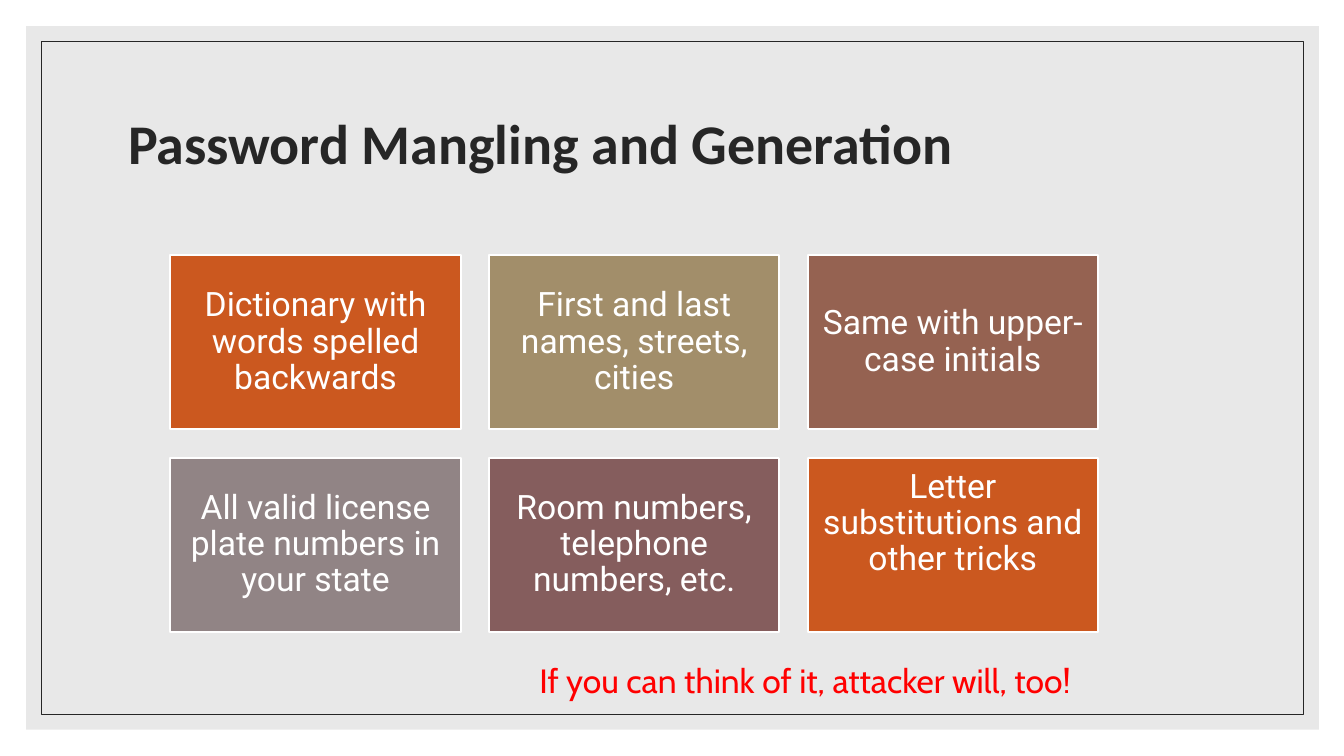
"""Build the slide on password mangling and generation."""
import pptx
import pptx.util
import pptx.dml.color
import pptx.enum.shapes
import pptx.enum.text
import pptx.oxml.ns
import lxml.etree

Inches = pptx.util.Inches
Pt = pptx.util.Pt
RGBColor = pptx.dml.color.RGBColor
ALIGN = pptx.enum.text.PP_ALIGN
ANCHOR = pptx.enum.text.MSO_ANCHOR

WHITE = RGBColor(0xFF, 0xFF, 0xFF)
PANEL = RGBColor(0xD9, 0xD9, 0xD9)
INK = RGBColor(0x26, 0x26, 0x26)
RED = RGBColor(0xFF, 0x00, 0x00)
ORANGE = RGBColor(0xCB, 0x58, 0x1F)
SAND = RGBColor(0xA2, 0x8E, 0x6A)
BROWN = RGBColor(0x95, 0x62, 0x51)
GREY = RGBColor(0x91, 0x84, 0x85)
PLUM = RGBColor(0x85, 0x5D, 0x5D)

TITLE = "Password Mangling and Generation"
WARNING = "If you can think of it, attacker will, too!"
CARDS = [
    ("Dictionary with words spelled backwards", ORANGE, 0.1),
    ("First and last names, streets, cities", SAND, 0.1),
    ("Same with upper-case initials", BROWN, 0.1),
    ("All valid license plate numbers in your state", GREY, 0.1),
    ("Room numbers, telephone numbers, etc.", PLUM, 0.1),
    ("Letter substitutions and other tricks", ORANGE, 0.52),
]
COLUMNS = 3
CARD_LEFT, CARD_TOP = 1.69, 2.53
CARD_WIDTH, CARD_HEIGHT = 2.88, 1.73
GAP = 0.28


def write(box, text, font, size, color, bold=False, align=ALIGN.LEFT,
          anchor=ANCHOR.MIDDLE, spacing=0.9):
    """Put one formatted paragraph into a shape."""
    frame = box.text_frame
    frame.word_wrap = True
    frame.auto_size = pptx.enum.text.MSO_AUTO_SIZE.NONE
    frame.vertical_anchor = anchor
    para = frame.paragraphs[0]
    para.alignment = align
    para.line_spacing = spacing
    span = para.add_run()
    span.text = text
    span.font.name = font
    span.font.size = Pt(size)
    span.font.bold = bold
    span.font.color.rgb = color


def add_rectangle(page, left, top, width, height, fill=None, line=None, weight=1):
    """Add a flat rectangle with an optional fill and outline."""
    box = page.shapes.add_shape(
        pptx.enum.shapes.MSO_SHAPE.RECTANGLE,
        Inches(left), Inches(top), Inches(width), Inches(height))
    box.shadow.inherit = False
    if fill is None:
        box.fill.background()
    else:
        box.fill.solid()
        box.fill.fore_color.rgb = fill
    if line is None:
        box.line.fill.background()
    else:
        box.line.color.rgb = line
        box.line.width = Pt(weight)
    return box


def add_frame(page):
    """Add the translucent panel and its thin inner border."""
    panel = add_rectangle(page, 0.26, 0.26, 12.82, 6.98, fill=PANEL)
    qn = pptx.oxml.ns.qn
    color = panel.element.spPr.find(qn("a:solidFill")).find(qn("a:srgbClr"))
    lxml.etree.SubElement(color, qn("a:alpha")).set("val", "60000")
    add_rectangle(page, 0.41, 0.41, 12.52, 6.68, line=INK, weight=0.5)


def add_cards(page):
    """Lay the cards out in a grid."""
    for index, (text, color, bottom) in enumerate(CARDS):
        row, column = divmod(index, COLUMNS)
        card = add_rectangle(
            page,
            CARD_LEFT + column * (CARD_WIDTH + GAP),
            CARD_TOP + row * (CARD_HEIGHT + GAP),
            CARD_WIDTH, CARD_HEIGHT, fill=color, line=WHITE, weight=1.5)
        frame = card.text_frame
        frame.margin_left = frame.margin_right = frame.margin_top = Inches(0.1)
        frame.margin_bottom = Inches(bottom)
        write(card, text, "Roboto", 24, WHITE, align=ALIGN.CENTER)


def main():
    """Build and save the deck."""
    deck = pptx.Presentation()
    deck.slide_width, deck.slide_height = Inches(13.33), Inches(7.5)
    page = deck.slides.add_slide(deck.slide_layouts[5])
    page.background.fill.solid()
    page.background.fill.fore_color.rgb = WHITE
    add_frame(page)
    add_cards(page)

    warning = page.shapes.add_textbox(
        Inches(5.25), Inches(6.5), Inches(7.02), Inches(0.5))
    write(warning, WARNING, "Cabin", 24, RED, anchor=ANCHOR.TOP, spacing=1.0)

    title = page.shapes.title
    title.left, title.top = Inches(1.17), Inches(0.7)
    title.width, title.height = Inches(11), Inches(1.5)
    write(title, TITLE, "Calibri", 40, INK, bold=True)
    title.element.getparent().append(title.element)
    deck.save("out.pptx")


if __name__ == "__main__":
    main()
